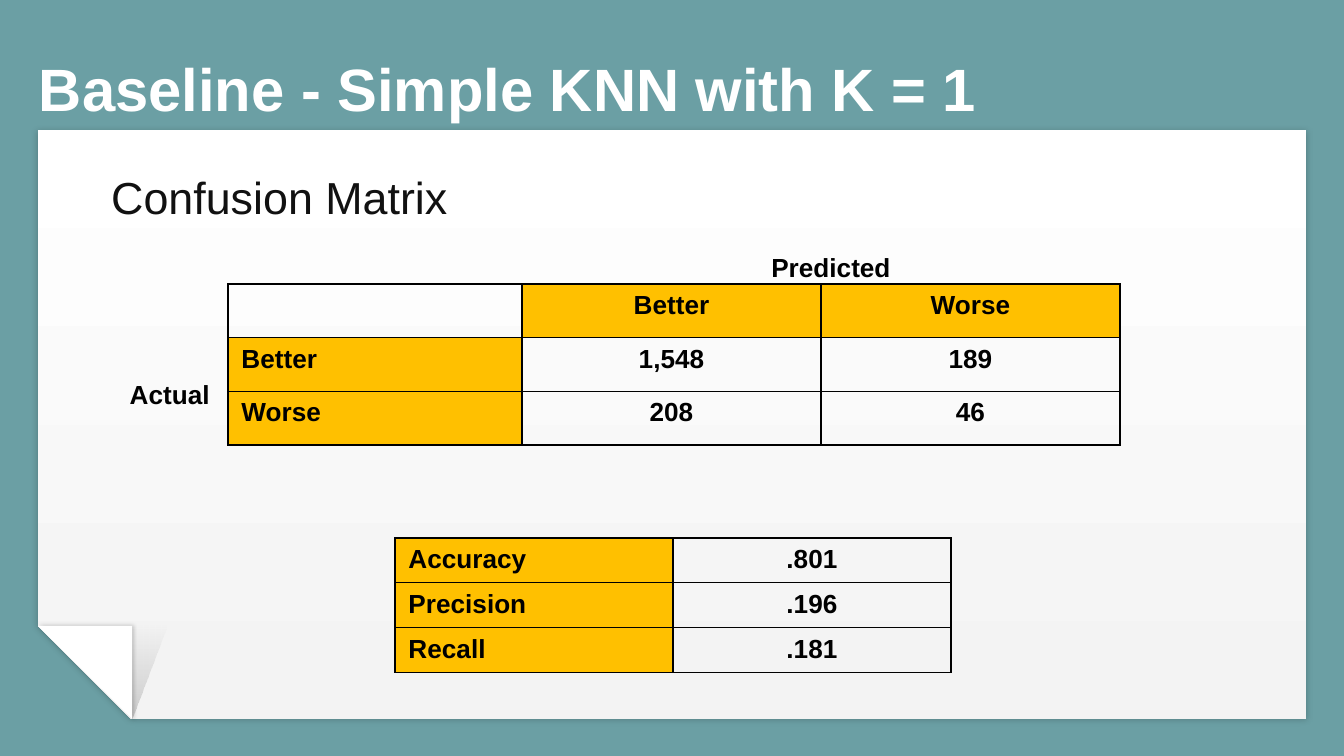
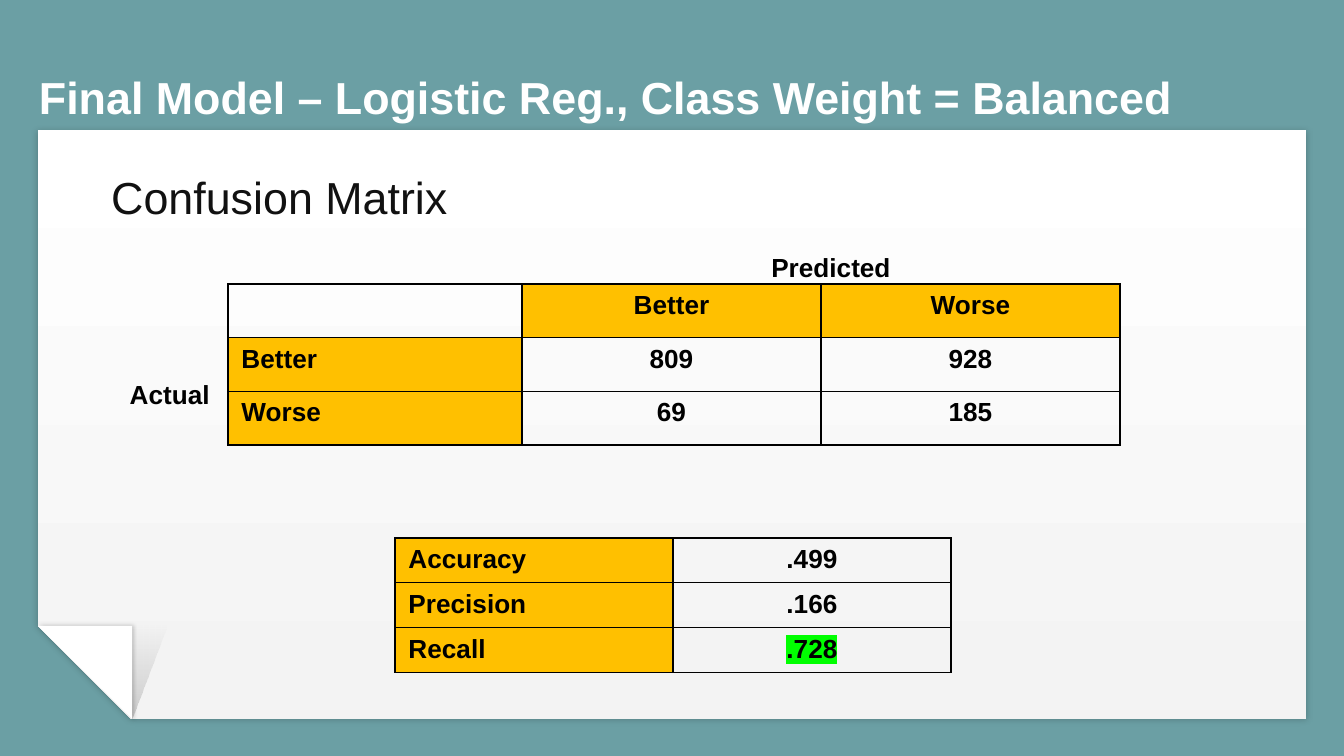
from lxml.etree import SubElement
from pptx import Presentation
from pptx.dml.color import RGBColor
from pptx.enum.shapes import MSO_SHAPE
from pptx.enum.text import MSO_ANCHOR, MSO_AUTO_SIZE, PP_ALIGN
from pptx.oxml import parse_xml
from pptx.oxml.ns import nsdecls, qn
from pptx.util import Emu, Pt

PX_PER_INCH = 134.4
TEAL, WHITE, BLACK = "6B9FA4", "FFFFFF", "000000"
PAPER_GREY, INK, AMBER, GREEN = "F3F3F3", "111111", "FFC000", "00FF00"
FONT = "Arial"
TITLE_ONLY = 5


def px(length):
    return Emu(round(length * 914400 / PX_PER_INCH))


def place(left, top, width, height):
    return px(left), px(top), px(width), px(height)


def color(code):
    return RGBColor.from_string(code)


def style_text(frame, size, code, bold=False, align=PP_ALIGN.LEFT):
    for para in frame.paragraphs:
        para.alignment = align
        for span in para.runs:
            span.font.name = FONT
            span.font.size = Pt(size)
            span.font.bold = bold
            span.font.color.rgb = color(code)


def highlight(span, code):
    mark = parse_xml(f'<a:highlight {nsdecls("a")}><a:srgbClr val="{code}"/></a:highlight>')
    span.font._element.find(qn("a:latin")).addprevious(mark)


def fill_gradient(shape, angle, stops):
    """Fill with (colour, opacity percent) stops; the angle runs clockwise."""
    last = len(stops) - 1
    marks = "".join(
        f'<a:gs pos="{100000 * i // last}"><a:srgbClr val="{code}">'
        f'<a:alpha val="{opacity * 1000}"/></a:srgbClr></a:gs>'
        for i, (code, opacity) in enumerate(stops)
    )
    shape._element.spPr.append(parse_xml(
        f'<a:gradFill {nsdecls("a")} rotWithShape="1"><a:gsLst>{marks}</a:gsLst>'
        f'<a:lin ang="{angle * 60000}" scaled="0"/></a:gradFill>'
    ))


def cast_shadow(shape, blur, direction):
    effects = shape._element.spPr.find(qn("a:effectLst"))
    effects.append(parse_xml(
        f'<a:outerShdw {nsdecls("a")} blurRad="{Pt(blur)}" dist="{Pt(0.8)}" '
        f'dir="{direction * 60000}" algn="ctr" rotWithShape="0">'
        f'<a:srgbClr val="{BLACK}"><a:alpha val="20000"/></a:srgbClr></a:outerShdw>'
    ))


def add_turned_shape(page, kind, *bounds):
    """Add a preset shape turned upside down, without outline or shadow."""
    shape = page.shapes.add_shape(kind, *place(*bounds))
    shape.rotation = 180
    shape.line.fill.background()
    shape.shadow.inherit = False
    return shape


def add_gradient_shape(page, kind, bounds, angle, stops):
    shape = page.shapes.add_shape(kind, *place(*bounds))
    shape.rotation = 180
    fill_gradient(shape, angle, stops)
    shape.line.fill.background()
    shape.shadow.inherit = False
    return shape


def add_paper(page):
    """Draw the white sheet with its folded lower left corner."""
    sheet = add_gradient_shape(page, MSO_SHAPE.SNIP_1_RECTANGLE, (38, 130, 1268, 589),
                               270, [(WHITE, 100), (PAPER_GREY, 100)])
    sheet.adjustments[0] = 0.158
    cast_shadow(sheet, 3.4, 90)

    fold = add_turned_shape(page, MSO_SHAPE.RIGHT_TRIANGLE, 38, 626, 94, 93)
    fold.fill.solid()
    fold.fill.fore_color.rgb = color(WHITE)
    cast_shadow(fold, 2.2, 0)

    shade = add_gradient_shape(page, MSO_SHAPE.RIGHT_TRIANGLE, (132, 625, 35, 94),
                               90, [(BLACK, 17), (BLACK, 0)])
    shade._element.spPr.find(qn("a:xfrm")).set("flipH", "1")


def set_title(page, text, size):
    title = page.shapes.title
    title.left, title.top, title.width, title.height = place(39, 20, 1259, 104)
    frame = title.text_frame
    frame.text = text
    frame.auto_size = MSO_AUTO_SIZE.NONE
    frame.vertical_anchor = MSO_ANCHOR.BOTTOM
    frame.margin_left = frame.margin_right = frame.margin_top = frame.margin_bottom = 0
    style_text(frame, size, WHITE, bold=True)


def add_text(page, text, *bounds):
    box = page.shapes.add_textbox(*place(*bounds))
    box.text_frame.word_wrap = True
    box.text_frame.text = text
    return box.text_frame


def add_heading(page, text):
    frame = add_text(page, text, 87, 163, 1183, 535)
    frame.margin_top = frame.margin_bottom = px(13)
    style_text(frame, 24, INK)
    para = frame.paragraphs[0]
    para.space_before = Pt(6)
    para.line_spacing = 0.9
    para._p.get_or_add_pPr().set("marL", str(px(11)))


def add_axis_label(page, text, align, *bounds):
    style_text(add_text(page, text, *bounds), 14, BLACK, True, align)


def set_borders(cell):
    properties = cell._tc.get_or_add_tcPr()
    for position, side in enumerate(("lnL", "lnR", "lnT", "lnB")):
        line = parse_xml(f'<a:{side} {nsdecls("a")} w="{Pt(0.75)}"/>')
        SubElement(SubElement(line, qn("a:solidFill")), qn("a:srgbClr"), val=BLACK)
        properties.insert(position, line)


def add_grid(page, rows, left, top, widths, height, header_row=False):
    """Add a bordered table with an amber label column and optional header row."""
    bounds = place(left, top, sum(widths), height)
    table = page.shapes.add_table(len(rows), len(widths), *bounds).table
    table.first_row = header_row
    table.horz_banding = False
    for column, width in zip(table.columns, widths):
        column.width = px(width)
    for r, values in enumerate(rows):
        table.rows[r].height = px(height / len(rows))
        for c, value in enumerate(values):
            cell = table.cell(r, c)
            cell.text = value
            if value and (c == 0 or (header_row and r == 0)):
                cell.fill.solid()
                cell.fill.fore_color.rgb = color(AMBER)
            else:
                cell.fill.background()
            set_borders(cell)
            style_text(cell.text_frame, 14, BLACK, True,
                       PP_ALIGN.CENTER if c else PP_ALIGN.LEFT)
    return table


def add_result_page(deck, title, title_size, counts, scores):
    page = deck.slides.add_slide(deck.slide_layouts[TITLE_ONLY])
    add_paper(page)
    set_title(page, title, title_size)
    add_heading(page, "Confusion Matrix")

    classes = ("Better", "Worse")
    matrix = [("", *classes)] + [(name, *row) for name, row in zip(classes, counts)]
    add_grid(page, matrix, 228, 284, (294, 299, 299), 161, header_row=True)
    add_axis_label(page, "Predicted", PP_ALIGN.CENTER, 519, 245, 624, 46)
    add_axis_label(page, "Actual", PP_ALIGN.RIGHT, 75, 372, 148, 46)

    measures = list(zip(("Accuracy", "Precision", "Recall"), scores))
    return add_grid(page, measures, 395, 538, (278, 278), 134)


def main():
    deck = Presentation()
    deck.slide_width, deck.slide_height = px(1344), px(756)
    background = deck.slide_master.background.fill
    background.solid()
    background.fore_color.rgb = color(TEAL)

    add_result_page(deck, "Baseline - Simple KNN with K = 1", 32,
                    [("1,548", "189"), ("208", "46")], (".801", ".196", ".181"))
    final_scores = add_result_page(
        deck, "Final Model – Logistic Reg., Class Weight = Balanced", 24,
        [("809", "928"), ("69", "185")], (".499", ".166", ".728"))
    recall = final_scores.cell(2, 1).text_frame.paragraphs[0].runs[0]
    highlight(recall, GREEN)

    deck.save("out.pptx")


if __name__ == "__main__":
    main()
